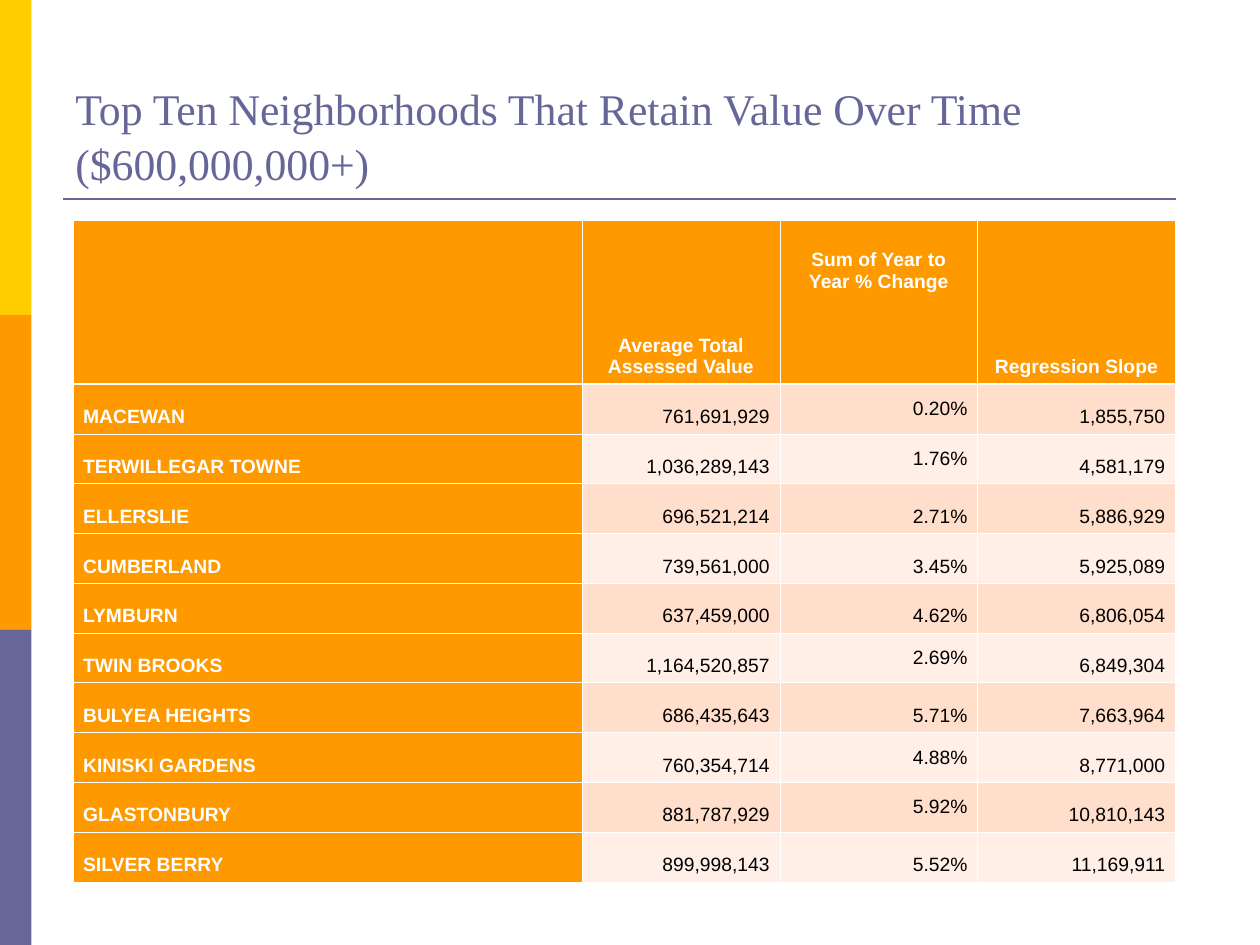
from lxml import etree
from pptx import Presentation
from pptx.dml.color import RGBColor
from pptx.enum.shapes import MSO_CONNECTOR, MSO_SHAPE
from pptx.enum.text import MSO_ANCHOR, PP_ALIGN
from pptx.oxml.ns import qn
from pptx.util import Inches, Pt

RECT, STRAIGHT = MSO_SHAPE.RECTANGLE, MSO_CONNECTOR.STRAIGHT
TOP, MIDDLE, BOTTOM = MSO_ANCHOR.TOP, MSO_ANCHOR.MIDDLE, MSO_ANCHOR.BOTTOM
LEFT, CENTER, RIGHT = PP_ALIGN.LEFT, PP_ALIGN.CENTER, PP_ALIGN.RIGHT

YELLOW = RGBColor(0xFF, 0xCC, 0x00)
ORANGE = RGBColor(0xFF, 0x99, 0x00)
PURPLE = RGBColor(0x66, 0x66, 0x99)
PEACH = RGBColor(0xFF, 0xDE, 0xCB)
PALE = RGBColor(0xFF, 0xEF, 0xE7)
WHITE = RGBColor(0xFF, 0xFF, 0xFF)
BLACK = RGBColor(0x00, 0x00, 0x00)

# Content
TITLE = "Top Ten Neighborhoods That Retain Value Over Time ($600,000,000+)"
HEADERS = ("", "Average Total Assessed Value", "Sum of Year to Year % Change",
           "Regression Slope")
NEIGHBORHOODS = [
    ("MACEWAN", "761,691,929", "0.20%", "1,855,750"),
    ("TERWILLEGAR TOWNE", "1,036,289,143", "1.76%", "4,581,179"),
    ("ELLERSLIE", "696,521,214", "2.71%", "5,886,929"),
    ("CUMBERLAND", "739,561,000", "3.45%", "5,925,089"),
    ("LYMBURN", "637,459,000", "4.62%", "6,806,054"),
    ("TWIN BROOKS", "1,164,520,857", "2.69%", "6,849,304"),
    ("BULYEA HEIGHTS", "686,435,643", "5.71%", "7,663,964"),
    ("KINISKI GARDENS", "760,354,714", "4.88%", "8,771,000"),
    ("GLASTONBURY", "881,787,929", "5.92%", "10,810,143"),
    ("SILVER BERRY", "899,998,143", "5.52%", "11,169,911"),
]
CENTERED_PERCENTS = {"0.20%", "1.76%", "2.69%", "4.88%", "5.92%"}
PERCENT_COL = 2
COL_WIDTHS = (4.04, 1.57, 1.57, 1.57)
TABLE_HEIGHT, HEADER_HEIGHT = 5.25, 1.3


def style_text(p, font, size, color, bold=False):
    for r in p.runs:
        r.font.name, r.font.size = font, Pt(size)
        r.font.color.rgb, r.font.bold = color, bold


def set_borders(cell, top, bottom):
    tc_pr = cell._tc.get_or_add_tcPr()
    for side, width in (("L", 0.45), ("R", 0.45), ("T", top), ("B", bottom)):
        ln = etree.SubElement(tc_pr, qn(f"a:ln{side}"), w=str(Pt(width)))
        fill = etree.SubElement(ln, qn("a:solidFill"))
        etree.SubElement(fill, qn("a:srgbClr"), val=str(WHITE))


def fill_cell(cell, text, row, col):
    is_header, is_label = row == 0, col == 0
    is_percent = col == PERCENT_COL
    set_borders(cell, 1.47 if row == 1 else 0.45, 1.47 if is_header else 0.45)
    cell.fill.solid()
    cell.fill.fore_color.rgb = (ORANGE if is_header or is_label
                                else PEACH if row % 2 else PALE)
    cell.margin_left = cell.margin_right = Inches(0.08)
    cell.margin_top = cell.margin_bottom = Inches(0.05)
    cell.vertical_anchor = MIDDLE if text in CENTERED_PERCENTS else BOTTOM
    if is_header and is_percent:
        # This heading hangs one line below the top of its cell
        cell.vertical_anchor = TOP
        cell.margin_top = Inches(0.23)
    p = cell.text_frame.paragraphs[0]
    p.text = text
    p.alignment = CENTER if is_header else LEFT if is_label else RIGHT
    if is_percent and not is_header:
        p.space_before = p.space_after = Pt(2)
    bold = is_header or is_label
    style_text(p, "Arial", 11, WHITE if bold else BLACK, bold)


prs = Presentation()
prs.slide_width, prs.slide_height = Inches(10), Inches(7.5)
s = prs.slides.add_slide(prs.slide_layouts[6])

# Colour bands down the left edge
for i, color in enumerate((YELLOW, ORANGE, PURPLE)):
    band = s.shapes.add_shape(RECT, 0, Inches(2.5 * i), Inches(0.25), Inches(2.5))
    band.shadow.inherit = False
    band.fill.solid()
    band.fill.fore_color.rgb = color
    band.line.fill.background()

# Rule under the title
rule = s.shapes.add_connector(STRAIGHT, Inches(0.5), Inches(1.58),
                              Inches(9.33), Inches(1.58))
rule.line.color.rgb, rule.line.width = PURPLE, Pt(1.5)
etree.SubElement(rule._element.spPr, qn("a:effectLst"))

# Title
tf = s.shapes.add_textbox(Inches(0.5), Inches(0.3), Inches(9), Inches(1.25)).text_frame
tf.word_wrap, tf.vertical_anchor = True, BOTTOM
tf.text = TITLE
tf.paragraphs[0].line_spacing = 1.05
style_text(tf.paragraphs[0], "Times New Roman", 25, PURPLE)

# Table
rows = [HEADERS, *NEIGHBORHOODS]
table = s.shapes.add_table(len(rows), len(HEADERS), Inches(0.58), Inches(1.75),
                           Inches(sum(COL_WIDTHS)), Inches(TABLE_HEIGHT)).table
for column, width in zip(table.columns, COL_WIDTHS):
    column.width = Inches(width)
body_height = (TABLE_HEIGHT - HEADER_HEIGHT) / len(NEIGHBORHOODS)
for i, values in enumerate(rows):
    table.rows[i].height = Inches(body_height if i else HEADER_HEIGHT)
    for j, text in enumerate(values):
        fill_cell(table.cell(i, j), text, i, j)

prs.save("out.pptx")
